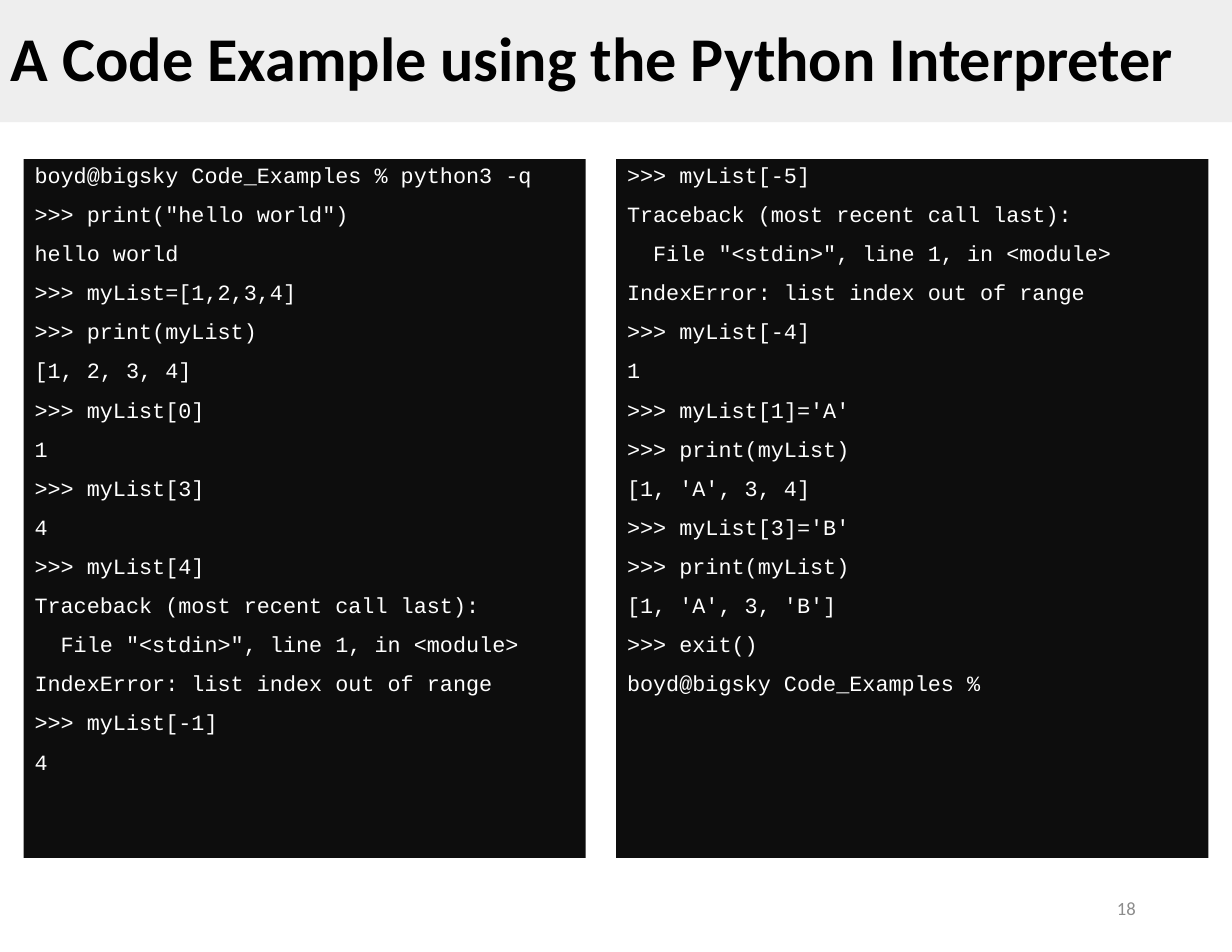
from dataclasses import dataclass

from pptx import Presentation
from pptx.dml.color import RGBColor
from pptx.enum.text import MSO_ANCHOR, PP_ALIGN
from pptx.slide import Slide
from pptx.util import Inches, Pt

HUES = {
    "band": "EEEEEE",
    "term": "0D0D0D",
    "code": "FFFFFF",
    "head": "000000",
    "page": "8C8C8C",
}

FONTS = {
    "head": {"name": "Calibri", "size": Pt(40), "bold": True},
    "code": {"name": "Courier New", "size": Pt(14), "bold": False},
    "page": {"name": "Calibri", "size": Pt(12), "bold": False},
}

PARAS = {
    "head": {"line_spacing": 0.9},
    "code": {"line_spacing": 0.9, "space_before": Pt(10)},
    "page": {"alignment": PP_ALIGN.RIGHT},
}

FRAMES = {
    "head": {"word_wrap": True, "vertical_anchor": MSO_ANCHOR.MIDDLE},
    "code": {"word_wrap": True, "vertical_anchor": MSO_ANCHOR.TOP},
    "page": {"word_wrap": True, "vertical_anchor": MSO_ANCHOR.MIDDLE},
}

LEFT = """boyd@bigsky Code_Examples % python3 -q
>>> print("hello world")
hello world
>>> myList=[1,2,3,4]
>>> print(myList)
[1, 2, 3, 4]
>>> myList[0]
1
>>> myList[3]
4
>>> myList[4]
Traceback (most recent call last):
  File "<stdin>", line 1, in <module>
IndexError: list index out of range
>>> myList[-1]
4"""

RIGHT = """>>> myList[-5]
Traceback (most recent call last):
  File "<stdin>", line 1, in <module>
IndexError: list index out of range
>>> myList[-4]
1
>>> myList[1]='A'
>>> print(myList)
[1, 'A', 3, 4]
>>> myList[3]='B'
>>> print(myList)
[1, 'A', 3, 'B']
>>> exit()
boyd@bigsky Code_Examples %"""


@dataclass
class Panel:
    left: float
    top: float
    width: float
    height: float
    text: str
    style: str
    fill: str = ""


PANELS = [
    Panel(0.21, 1.42, 5.02, 6.24, LEFT, "code", "term"),
    Panel(5.5, 1.42, 5.29, 6.24, RIGHT, "code", "term"),
    Panel(0, 0, 11, 1.09, "A Code Example using the Python Interpreter", "head", "band"),
    Panel(7.77, 7.88, 2.47, 0.45, "18", "page"),
]


def apply(target: object, values: dict) -> None:
    for name, value in values.items():
        setattr(target, name, value)


def draw(slide: Slide, panel: Panel) -> None:
    spot = (panel.left, panel.top, panel.width, panel.height)
    box = slide.shapes.add_textbox(*map(Inches, spot))
    if panel.fill:
        box.fill.solid()
        box.fill.fore_color.rgb = RGBColor.from_string(HUES[panel.fill])
    frame = box.text_frame
    apply(frame, FRAMES[panel.style])
    frame.text = panel.text
    for line in frame.paragraphs:
        apply(line, PARAS[panel.style])
        for run in line.runs:
            apply(run.font, FONTS[panel.style])
            run.font.color.rgb = RGBColor.from_string(HUES[panel.style])
    frame.paragraphs[0].space_before = Pt(0)


def main() -> None:
    deck = Presentation()
    apply(deck, {"slide_width": Inches(11), "slide_height": Inches(8.5)})
    slide = deck.slides.add_slide(deck.slide_layouts[6])
    for panel in PANELS:
        draw(slide, panel)
    deck.save("out.pptx")


if __name__ == "__main__":
    main()
